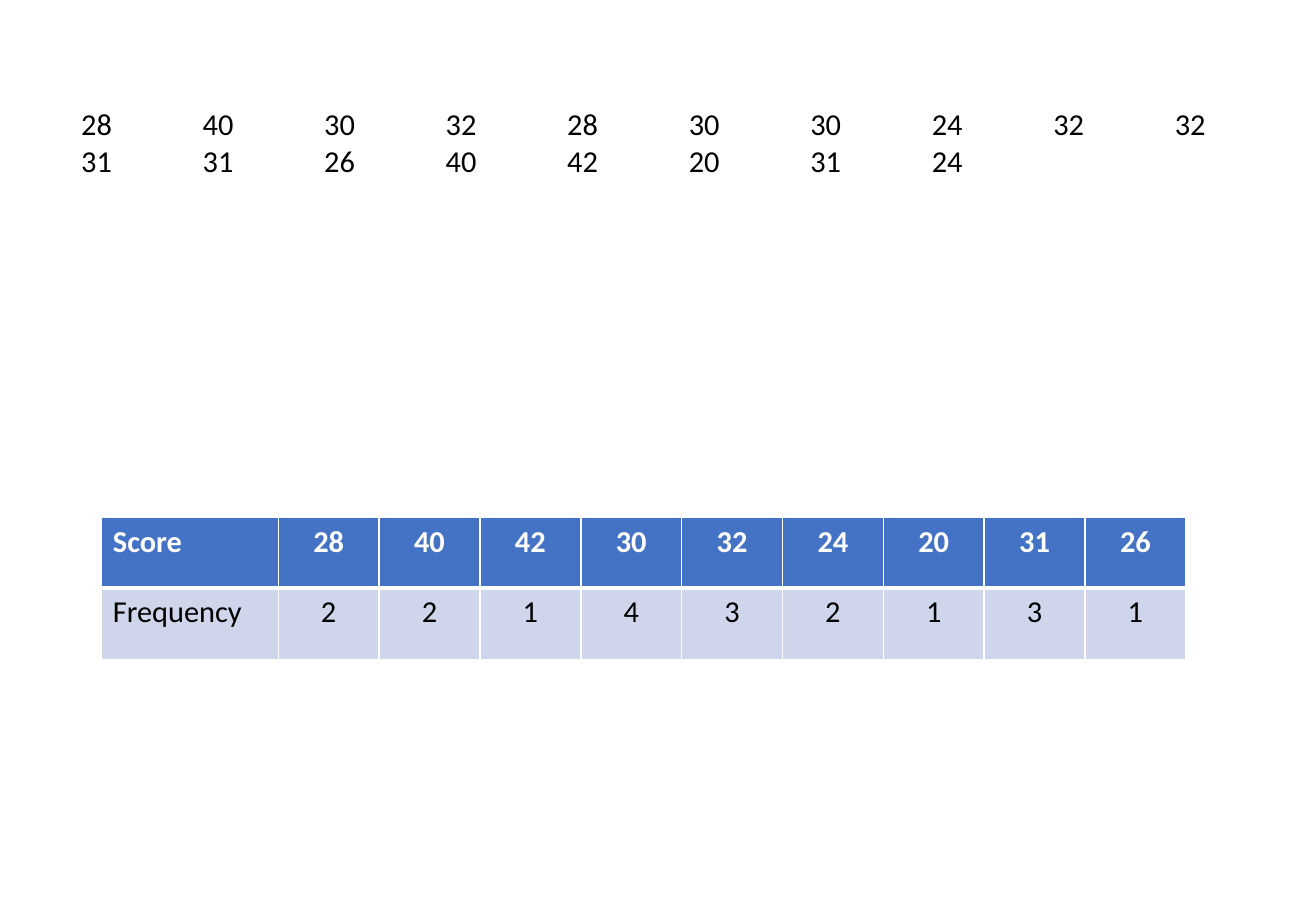
import pptx
import pptx.dml.color
import pptx.enum.text
import pptx.oxml.ns
import pptx.util
from lxml import etree
from pptx.util import Inches

SCORES = [28, 40, 30, 32, 28, 30, 30, 24, 32, 32, 31, 31, 26, 40, 42, 20, 31, 24]
FREQUENCIES = [
    ["Score", 28, 40, 42, 30, 32, 24, 20, 31, 26],
    ["Frequency", 2, 2, 1, 4, 3, 2, 1, 3, 1],
]


def rgb(value):
    return pptx.dml.color.RGBColor.from_string(value)


class SlideBuilder:
    font_name = "Calibri"
    font_size = 18
    tab_size = 1
    black, white = "000000", "FFFFFF"
    header_fill, body_fill = "4472C4", "CFD5EA"

    def __init__(self, prs):
        self.s = prs.slides.add_slide(prs.slide_layouts[6])

    def format_text(self, p, color, bold=False):
        for r in p.runs:
            r.font.name = self.font_name
            r.font.size = pptx.util.Pt(self.font_size)
            r.font.bold = bold
            r.font.color.rgb = rgb(color)

    def tabbed_text(self, values, left, top, width, height):
        tf = self.s.shapes.add_textbox(
            Inches(left), Inches(top), Inches(width), Inches(height)).text_frame
        tf.word_wrap = True
        tf.auto_size = pptx.enum.text.MSO_AUTO_SIZE.SHAPE_TO_FIT_TEXT
        p = tf.paragraphs[0]
        p.text = "\t".join(map(str, values))
        p._p.get_or_add_pPr().set("defTabSz", str(Inches(self.tab_size)))
        self.format_text(p, self.black)

    def borders(self, cell, widths):
        """Draw white cell edges; widths maps L, R, T and B to points."""
        tc_pr = cell._tc.get_or_add_tcPr()
        qn = pptx.oxml.ns.qn
        for side, width in widths.items():
            ln = etree.SubElement(tc_pr, qn(f"a:ln{side}"), w=str(pptx.util.Pt(width)))
            fill = etree.SubElement(ln, qn("a:solidFill"))
            etree.SubElement(fill, qn("a:srgbClr"), val=self.white)

    def table(self, rows, left, top, col_widths, row_heights):
        table = self.s.shapes.add_table(
            len(rows), len(col_widths), Inches(left), Inches(top),
            Inches(sum(col_widths)), Inches(sum(row_heights))).table
        for column, width in zip(table.columns, col_widths):
            column.width = Inches(width)
        for i, (row, height) in enumerate(zip(rows, row_heights)):
            table.rows[i].height = Inches(height)
            header = i == 0
            for j, value in enumerate(row):
                cell = table.cell(i, j)
                self.borders(cell, {"L": 1, "R": 1, "T": 1 if header else 3,
                                    "B": 3 if header else 1})
                cell.fill.solid()
                cell.fill.fore_color.rgb = rgb(self.header_fill if header else self.body_fill)
                p = cell.text_frame.paragraphs[0]
                p.text = str(value)
                if j:
                    p.alignment = pptx.enum.text.PP_ALIGN.CENTER
                self.format_text(p, self.white if header else self.black, header)


def main():
    prs = pptx.Presentation()
    prs.slide_width, prs.slide_height = Inches(10.83), Inches(7.5)
    slide = SlideBuilder(prs)
    slide.tabbed_text(SCORES, 0.57, 0.82, 9.7, 0.71)
    slide.table(FREQUENCIES, 0.83, 4.26, [1.46] + [0.83] * 9, [0.58, 0.59])
    prs.save("out.pptx")


if __name__ == "__main__":
    main()
